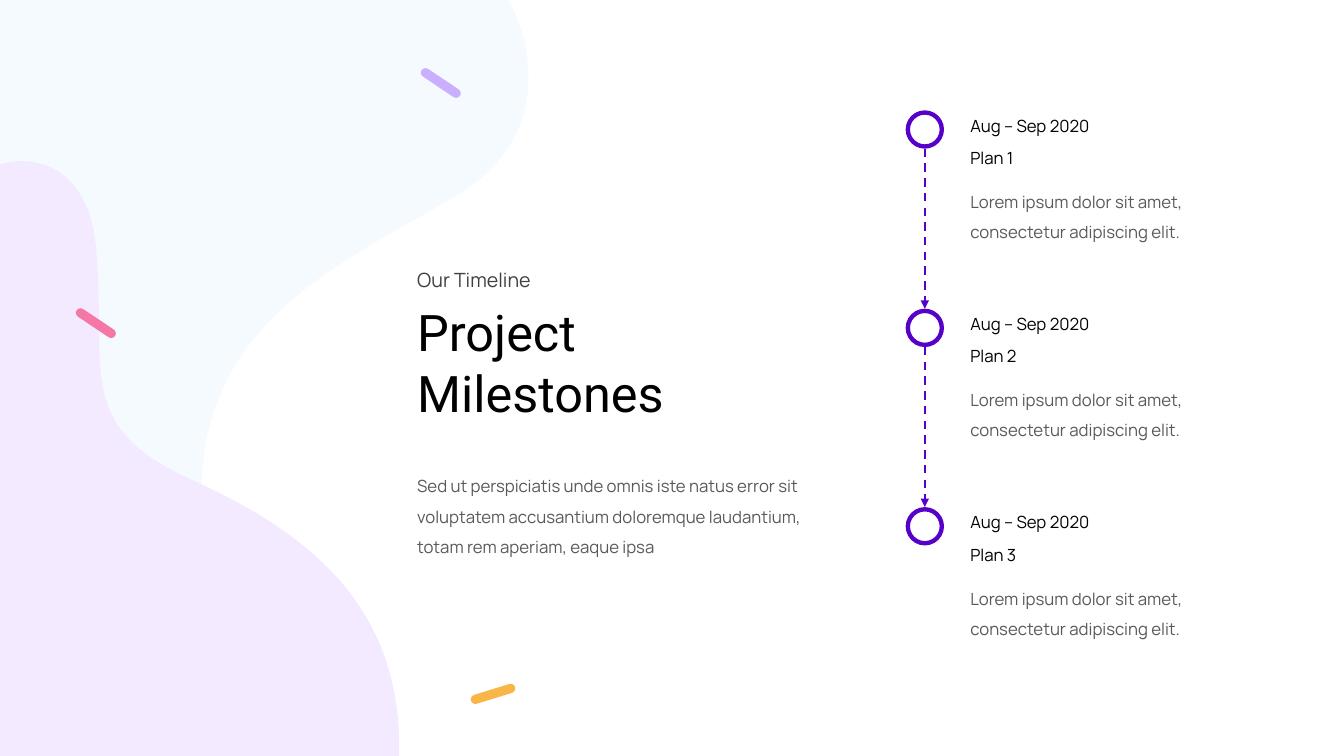
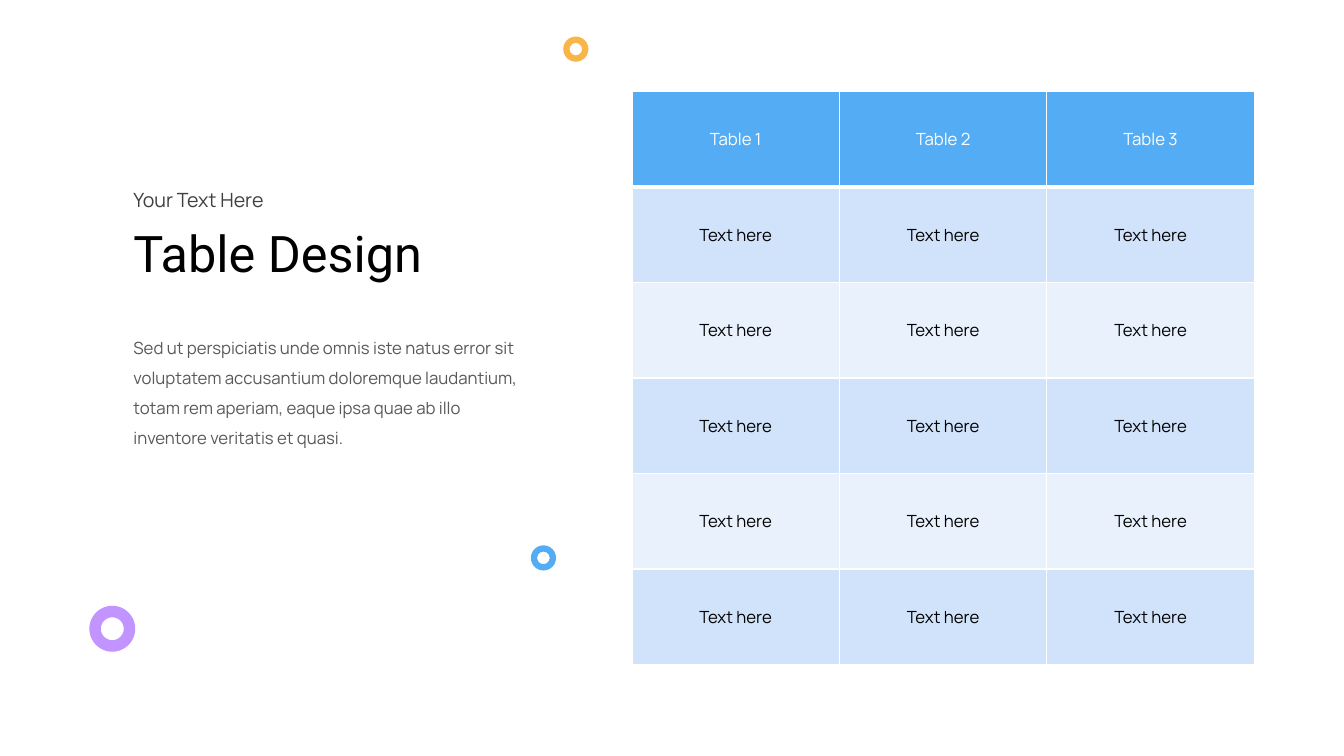
import dataclasses
import typing

import lxml.etree
import pptx
import pptx.dml.color
import pptx.enum.dml
import pptx.enum.shapes
import pptx.enum.text
import pptx.oxml.ns
import pptx.util

Pt = pptx.util.Pt
qn = pptx.oxml.ns.qn
SHAPES = pptx.enum.shapes.MSO_SHAPE
Point = tuple[float, float]

# Shared look
COLORS = {
    "white": "FFFFFF", "black": "000000", "kicker": "404040", "body": "595959",
    "violet": "5700CA", "lilac": "C294FF", "amber": "F9B545", "pink": "F577A5",
    "blue": "54ADF4", "row_dark": "D1E3FB", "row_light": "E9F1FD",
    "sky_blob": "DDEFFD", "lilac_blob": "F3EAFF",
}
BODY_FONT = "Manrope"
TITLE_FONT = "Roboto"


@dataclasses.dataclass
class TextStyle:
    size: float
    color: str
    font: str = BODY_FONT
    spacing: float | None = None


KICKER = TextStyle(14, "kicker")
TITLE = TextStyle(36, "black", TITLE_FONT)
BODY = TextStyle(12, "body", spacing=1.5)
LABEL = TextStyle(12, "black")
HEADER = TextStyle(12, "white")


@dataclasses.dataclass
class Heading:
    left: float
    top: float
    kicker: str
    kicker_width: float
    title: str
    title_width: float
    body: str
    body_top: float
    body_width: float
    body_height: float


@dataclasses.dataclass
class Accent:
    left: float
    top: float
    width: float
    height: float
    color: str
    kind: typing.Any
    adjustment: float
    rotation: float = 0


@dataclasses.dataclass
class Blob:
    """Outline in a box; a step of one point is a line, of three a cubic curve."""
    left: float
    top: float
    width: float
    height: float
    start: Point
    steps: list[list[Point]]
    color: str
    alpha: int | None = None


def bar(left: float, top: float, color: str, rotation: float) -> Accent:
    return Accent(left, top, 33, 6.6, color, SHAPES.ROUNDED_RECTANGLE, 0.5, rotation)


def ring(left: float, top: float, size: float, color: str, thickness: float = 0.25) -> Accent:
    return Accent(left, top, size, size, color, SHAPES.DONUT, thickness)


def rgb(name: str) -> pptx.dml.color.RGBColor:
    return pptx.dml.color.RGBColor.from_string(COLORS[name])


def paint(shape, color: str) -> None:
    shape.shadow.inherit = False
    shape.fill.solid()
    shape.fill.fore_color.rgb = rgb(color)
    shape.line.fill.background()


def style_text(frame, style: TextStyle) -> None:
    for para in frame.paragraphs:
        if style.spacing:
            para.line_spacing = style.spacing
        for span in para.runs:
            span.font.size = Pt(style.size)
            span.font.name = style.font
            span.font.color.rgb = rgb(style.color)


def add_text(page, text: str, left: float, top: float, width: float, height: float,
             style: TextStyle, wrap: bool = False) -> None:
    box = page.shapes.add_textbox(Pt(left), Pt(top), Pt(width), Pt(height))
    frame = box.text_frame
    frame.word_wrap = wrap
    frame.auto_size = pptx.enum.text.MSO_AUTO_SIZE.SHAPE_TO_FIT_TEXT
    frame.text = text
    style_text(frame, style)


def add_heading(page, heading: Heading) -> None:
    lines = heading.title.count("\n") + 1
    add_text(page, heading.kicker, heading.left, heading.top,
             heading.kicker_width, 24.2, KICKER)
    add_text(page, heading.title, heading.left, heading.top + 24,
             heading.title_width, 8 + 43.2 * lines, TITLE)
    add_text(page, heading.body, heading.left, heading.body_top,
             heading.body_width, heading.body_height, BODY, wrap=True)


def add_accent(page, accent: Accent):
    shape = page.shapes.add_shape(accent.kind, Pt(accent.left), Pt(accent.top),
                                  Pt(accent.width), Pt(accent.height))
    shape.adjustments[0] = accent.adjustment
    shape.rotation = accent.rotation
    paint(shape, accent.color)
    return shape


def add_blob(page, blob: Blob) -> None:
    right, bottom = blob.left + blob.width, blob.top + blob.height
    builder = page.shapes.build_freeform(Pt(blob.left), Pt(blob.top), scale=1.0)
    builder.add_line_segments([(Pt(right), Pt(blob.top)), (Pt(right), Pt(bottom)),
                               (Pt(blob.left), Pt(bottom))])
    shape = builder.convert_to_shape()
    paint(shape, blob.color)
    # Put the curved outline into the box
    outline = next(shape.element.iter(qn("a:path")))
    for child in list(outline):
        outline.remove(child)
    commands = [("moveTo", [blob.start])]
    commands += [("lnTo" if len(step) == 1 else "cubicBezTo", step) for step in blob.steps]
    for name, points in commands + [("close", [])]:
        command = lxml.etree.SubElement(outline, qn(f"a:{name}"))
        for x, y in points:
            point = lxml.etree.SubElement(command, qn("a:pt"))
            point.set("x", str(int(Pt(x - blob.left))))
            point.set("y", str(int(Pt(y - blob.top))))
    if blob.alpha is not None:
        tint = shape.element.spPr.find(qn("a:solidFill")).find(qn("a:srgbClr"))
        lxml.etree.SubElement(tint, qn("a:alpha")).set("val", str(blob.alpha * 1000))


def add_dashed_arrow(page, x: float, top: float, target) -> None:
    arrow = page.shapes.add_connector(pptx.enum.shapes.MSO_CONNECTOR.STRAIGHT,
                                      Pt(x), Pt(top), Pt(x), target.top)
    arrow.end_connect(target, 0)
    arrow.line.color.rgb = rgb("violet")
    arrow.line.width = Pt(1.5)
    arrow.line.dash_style = pptx.enum.dml.MSO_LINE.DASH
    line = arrow.line._get_or_add_ln()
    lxml.etree.SubElement(line, qn("a:tailEnd")).set("type", "triangle")
    lxml.etree.SubElement(arrow.element.spPr, qn("a:effectLst"))


def set_borders(cell, widths: dict[str, float]) -> None:
    properties = cell._tc.get_or_add_tcPr()
    for side in ("L", "R", "T", "B"):
        line = lxml.etree.SubElement(properties, qn(f"a:ln{side}"))
        line.set("w", str(int(Pt(widths.get(side, 1)))))
        fill = lxml.etree.SubElement(line, qn("a:solidFill"))
        lxml.etree.SubElement(fill, qn("a:srgbClr")).set("val", COLORS["white"])


def add_grid(page, rows: list[list[str]], left: float, top: float,
             column_width: float, row_height: float) -> None:
    columns = len(rows[0])
    table = page.shapes.add_table(len(rows), columns, Pt(left), Pt(top),
                                  Pt(column_width * columns),
                                  Pt(row_height * len(rows))).table
    table.first_row = table.horz_banding = False
    for column in table.columns:
        column.width = Pt(column_width)
    for row_index, texts in enumerate(rows):
        table.rows[row_index].height = Pt(row_height)
        if row_index == 0:
            color, style, widths = "blue", HEADER, {"B": 3}
        else:
            color = "row_dark" if row_index % 2 else "row_light"
            style, widths = LABEL, {"T": 3} if row_index == 1 else {}
        for column_index, text in enumerate(texts):
            cell = table.cell(row_index, column_index)
            set_borders(cell, widths)
            cell.fill.solid()
            cell.fill.fore_color.rgb = rgb(color)
            cell.vertical_anchor = pptx.enum.text.MSO_ANCHOR.MIDDLE
            cell.text_frame.text = text
            style_text(cell.text_frame, style)
            cell.text_frame.paragraphs[0].alignment = pptx.enum.text.PP_ALIGN.CENTER


def add_milestones(page, count: int) -> None:
    first_top, pitch, ring_left, ring_size, text_left = 78.8, 141.7, 646.9, 27.4, 686
    center = ring_left + ring_size / 2
    for index in range(count):
        top = first_top + index * pitch
        marker = add_accent(page, ring(ring_left, top, ring_size, "violet", 0.114))
        if index:
            add_dashed_arrow(page, center, top - pitch + ring_size, marker)
        add_text(page, "Aug – Sep 2020", text_left, top, 109.4, 21.8, LABEL)
        add_text(page, f"Plan {index + 1}", text_left, top + 23, 51, 21.8, LABEL)
        add_text(page, "Lorem ipsum dolor sit amet, consectetur adipiscing elit.",
                 text_left, top + 47.3, 201, 49, BODY, wrap=True)


def build_milestones_page(page) -> None:
    # Background blobs and bars
    add_accent(page, bar(298.4, 56, "lilac", 33.8))
    add_accent(page, bar(335.7, 492.3, "amber", 342.9))
    add_blob(page, Blob(-0.7, 0, 378.7, 540, (324, 141.1), [
        [(396, 99.4), (380.2, 29.5), (362.9, 0)], [(-0.7, 0)], [(-0.7, 537.1)],
        [(60.5, 547.2), (176.4, 535.7), (149.8, 404.6)],
        [(116.6, 241.2), (234, 193.7), (324, 141.1)]], "sky_blob", alpha=30))
    add_blob(page, Blob(0, 115.2, 285.1, 424.8, (69.1, 182.2), [
        [(64.8, 114.5), (20.9, 110.9), (0, 117.4)], [(0, 540)], [(285.1, 540)],
        [(288, 433.4), (220.3, 380.2), (136.8, 342.7)],
        [(54, 305.3), (75.6, 267.1), (69.1, 182.2)]], "lilac_blob"))
    add_accent(page, bar(52, 227.5, "pink", 33.8))
    # Heading and timeline
    add_heading(page, Heading(
        290.9, 187.9, "Our Timeline", 104.4, "Project\nMilestones", 200.2,
        "Sed ut perspiciatis unde omnis iste natus error sit voluptatem accusantium "
        "doloremque laudantium, totam rem aperiam, eaque ipsa", 329.3, 293.8, 70.6))
    add_milestones(page, 3)


def build_table_page(page) -> None:
    # Heading and table
    add_heading(page, Heading(
        88.2, 131, "Your Text Here", 115.9, "Table Design", 236.9,
        "Sed ut perspiciatis unde omnis iste natus error sit voluptatem accusantium "
        "doloremque laudantium, totam rem aperiam, eaque ipsa quae ab illo "
        "inventore veritatis et quasi.", 230.2, 296.6, 92.9))
    rows = [[f"Table {number}" for number in range(1, 4)]] + [["Text here"] * 3] * 5
    add_grid(page, rows, 451.4, 65.4, 148.2, 68.22)
    # Ring accents
    for accent in (ring(402.3, 26.1, 18, "amber"), ring(63.8, 432.7, 32.8, "lilac"),
                   ring(379.2, 389.5, 18, "blue")):
        add_accent(page, accent)


def main() -> None:
    deck = pptx.Presentation()
    deck.slide_width, deck.slide_height = Pt(960), Pt(540)
    for build in (build_milestones_page, build_table_page):
        page = deck.slides.add_slide(deck.slide_layouts[6])
        page.background.fill.solid()
        page.background.fill.fore_color.rgb = rgb("white")
        build(page)
    deck.save("out.pptx")


if __name__ == "__main__":
    main()
